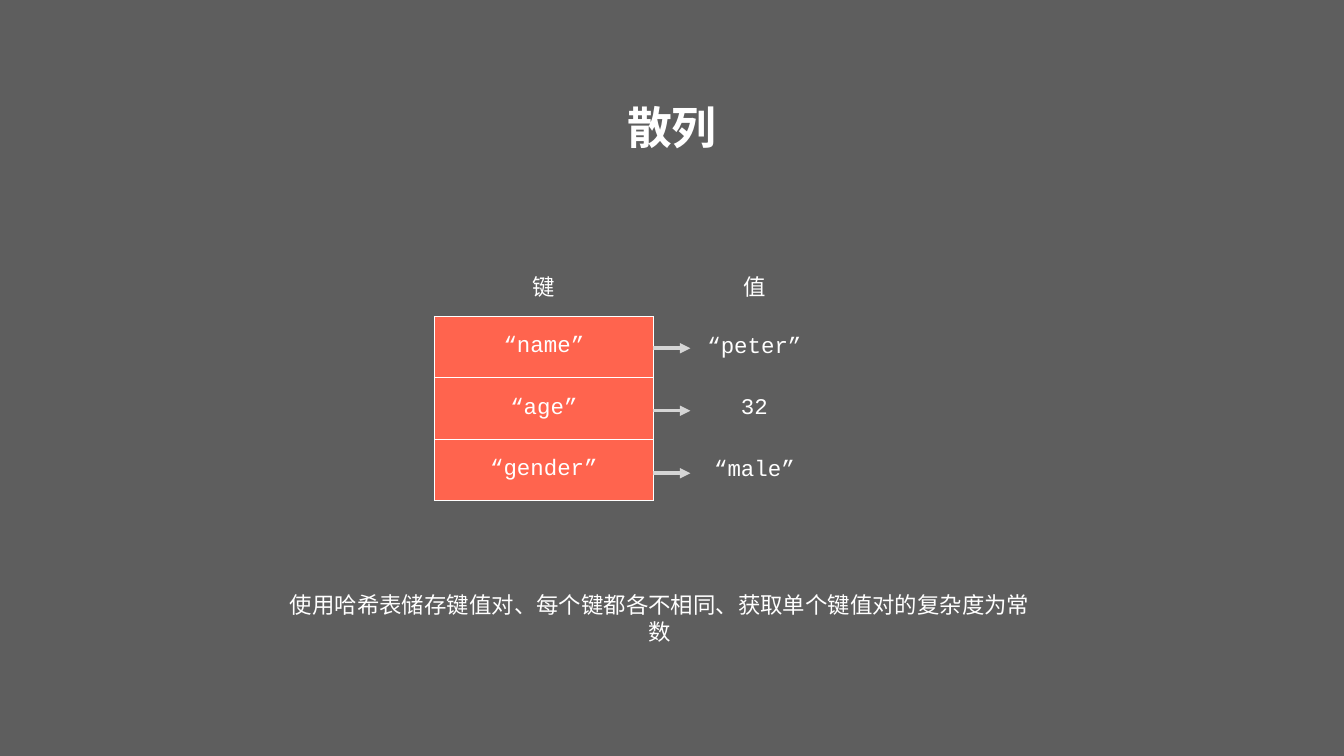
from dataclasses import dataclass

from lxml.etree import SubElement
from pptx import Presentation
from pptx.dml.color import RGBColor
from pptx.enum.shapes import MSO_CONNECTOR
from pptx.enum.text import MSO_ANCHOR, PP_ALIGN
from pptx.oxml import parse_xml
from pptx.oxml.ns import nsdecls, qn
from pptx.util import Cm, Pt

WHITE, CORAL, GREY, BACKDROP = "FFFFFF", "FF644E", "D5D5D5", "5E5E5E"
PLAIN_STYLE = "{2D5ABB26-0587-4C30-8999-92F81FD0307C}"
ROW_HEIGHT = 3.1
INSET = Cm(0.15)


@dataclass
class Column:
    left: float
    top: float
    width: float
    entries: list[str]
    boxed: bool


@dataclass
class Label:
    text: str
    left: float
    top: float
    width: float
    height: float
    size: int
    bold: bool
    wrap: bool


def colour(value: str) -> RGBColor:
    return RGBColor.from_string(value)


def format_text(frame, font: str, size: int, bold: bool = False) -> None:
    paragraph = frame.paragraphs[0]
    paragraph.alignment = PP_ALIGN.CENTER
    for run in paragraph.runs:
        run.font.name = font
        run.font.size = Pt(size)
        run.font.bold = bold
        run.font.color.rgb = colour(WHITE)


def add_borders(cell, sides: str) -> None:
    properties = cell._tc.get_or_add_tcPr()
    for position, side in enumerate(sides):
        properties.insert(position, parse_xml(
            f'<a:ln{side} {nsdecls("a")} w="12700"><a:solidFill>'
            f'<a:srgbClr val="{WHITE}"/></a:solidFill></a:ln{side}>'))


def add_column(slide, column: Column) -> None:
    count = len(column.entries)
    table = slide.shapes.add_table(
        count, 1, Cm(column.left), Cm(column.top),
        Cm(column.width), Cm(ROW_HEIGHT * count)).table
    table.first_row = table.horz_banding = False
    table._tbl.tblPr.find(qn("a:tableStyleId")).text = PLAIN_STYLE
    for index, entry in enumerate(column.entries):
        cell = table.cell(index, 0)
        cell.text_frame.text = entry
        cell.vertical_anchor = MSO_ANCHOR.MIDDLE
        cell.margin_left = cell.margin_right = INSET
        cell.margin_top = cell.margin_bottom = INSET
        format_text(cell.text_frame, "Courier New", 32)
        if column.boxed and index:
            cell.fill.solid()
            cell.fill.fore_color.rgb = colour(CORAL)
        else:
            cell.fill.background()
        if column.boxed:
            add_borders(cell, "LRTB" if index else "B")


def add_label(slide, label: Label) -> None:
    frame = slide.shapes.add_textbox(
        Cm(label.left), Cm(label.top), Cm(label.width), Cm(label.height)).text_frame
    frame.text = label.text
    frame.word_wrap = label.wrap
    frame.vertical_anchor = MSO_ANCHOR.MIDDLE
    frame.margin_left = frame.margin_right = INSET
    frame.margin_top = frame.margin_bottom = INSET
    format_text(frame, "Inter", label.size, label.bold)


def add_arrow(slide, start: float, end: float, level: float) -> None:
    arrow = slide.shapes.add_connector(
        MSO_CONNECTOR.STRAIGHT, Cm(start), Cm(level), Cm(end), Cm(level))
    arrow.line.color.rgb = colour(GREY)
    arrow.line.width = Pt(5)
    SubElement(arrow.line._get_or_add_ln(), qn("a:tailEnd"), type="triangle")
    SubElement(arrow._element.spPr, qn("a:effectLst"))


presentation = Presentation()
presentation.slide_width = Cm(67.74)
presentation.slide_height = Cm(38.1)
slide = presentation.slides.add_slide(presentation.slide_layouts[6])
slide.background.fill.solid()
slide.background.fill.fore_color.rgb = colour(BACKDROP)

keys = Column(21.88, 12.83, 11.07, ["键", "“name”", "“age”", "“gender”"], True)
values = Column(34.67, 12.85, 6.71, ["值", "“peter”", "32", "“male”"], False)
title = Label("散列", 31.45, 4.65, 4.83, 3.45, 64, True, False)
summary = Label("使用哈希表储存键值对、每个键都各不相同、获取单个键值对的复杂度为常数",
                14.28, 30.2, 37.97, 1.88, 32, False, True)

for column in (keys, values):
    add_column(slide, column)
for label in (title, summary):
    add_label(slide, label)
for pair in range(len(keys.entries) - 1):
    add_arrow(slide, 32.92, 34.8, 17.55 + 3.15 * pair)

presentation.save("out.pptx")
